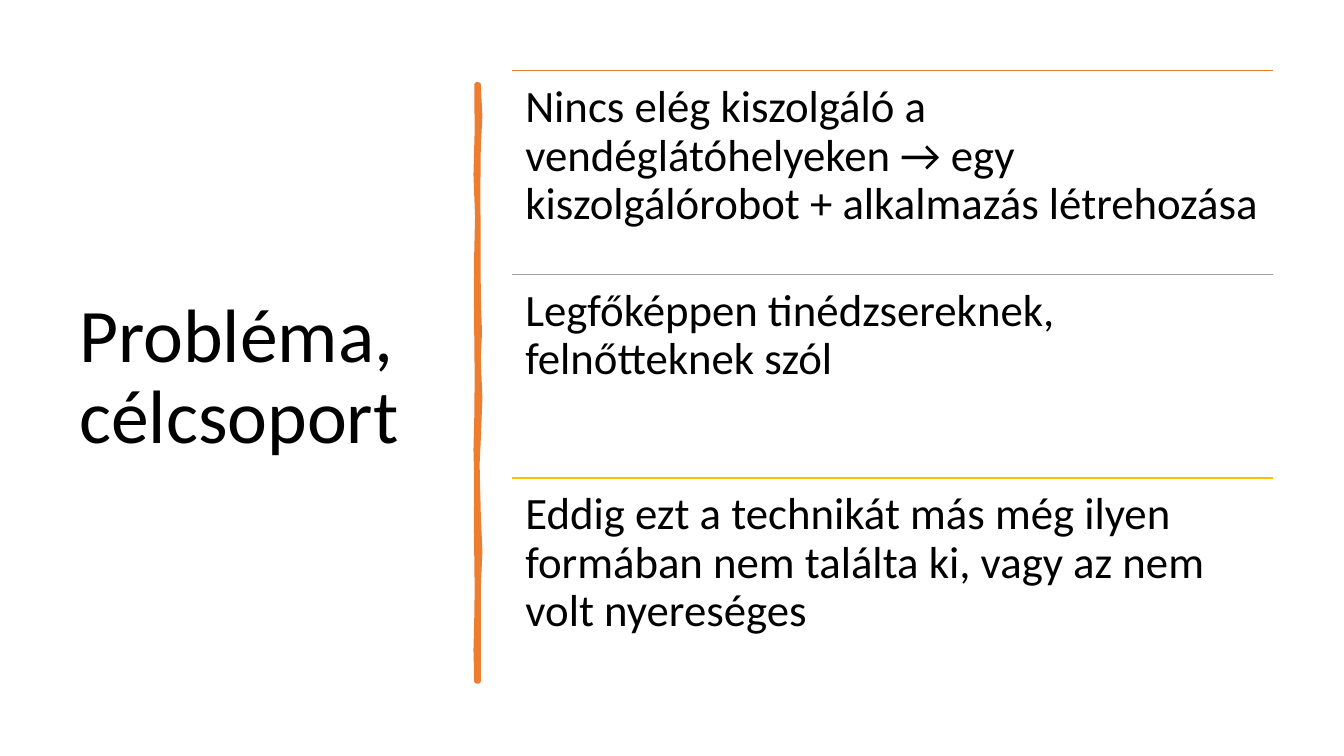
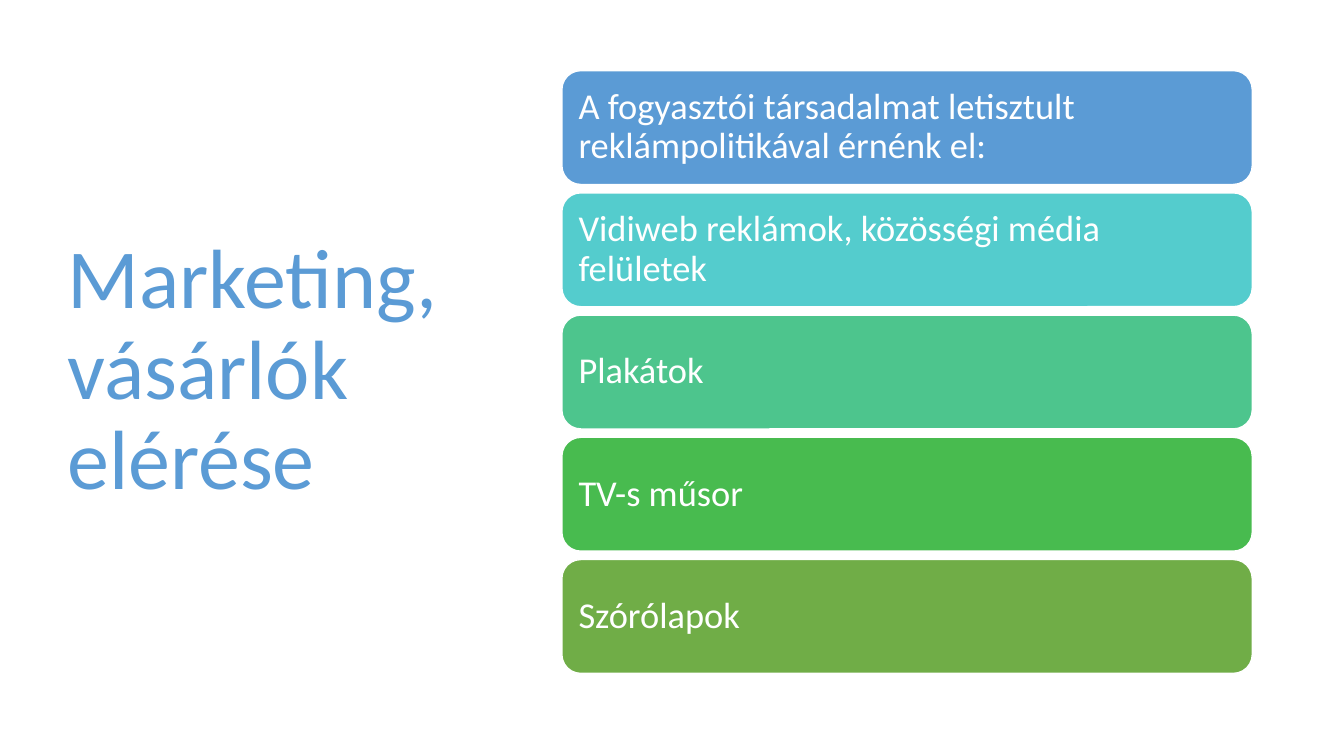
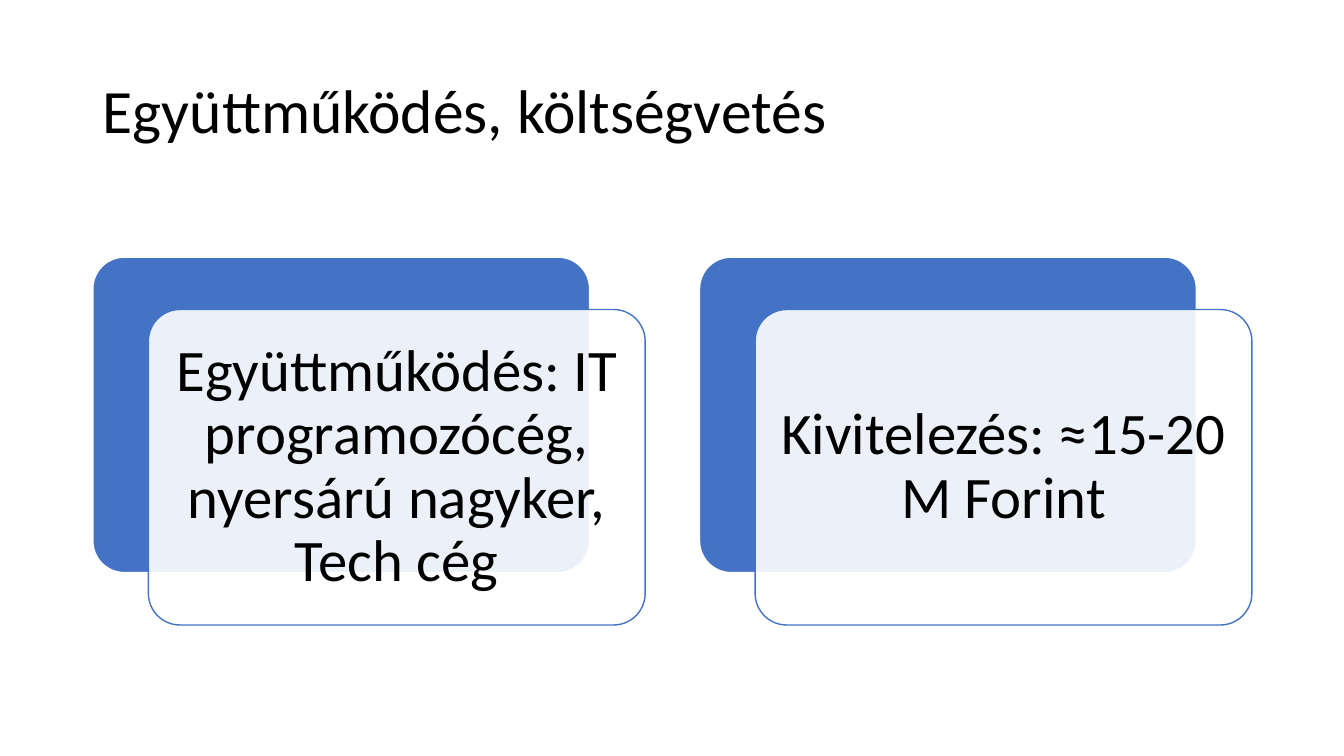
import pptx
import pptx.dml.color
import pptx.enum.shapes
import pptx.enum.text
import pptx.oxml.ns
import pptx.util
from lxml import etree

Cm = pptx.util.Cm
Pt = pptx.util.Pt
qn = pptx.oxml.ns.qn
Anchor = pptx.enum.text.MSO_ANCHOR
Align = pptx.enum.text.PP_ALIGN
ORANGE, BLUE, NAVY = "ED7D31", "5B9BD5", "4472C4"
WHITE, BLACK = "FFFFFF", "000000"


def color(code):
    return pptx.dml.color.RGBColor.from_string(code)


def apply(item, values):
    for name, value in values.items():
        setattr(item, name, value)


class Deck:
    font = "Calibri"
    spacing = 0.9

    def __init__(self):
        self.file = pptx.Presentation()
        apply(self.file, {"slide_width": Cm(33.87), "slide_height": Cm(19.05)})

    def start(self, title, box, size, ink=BLACK):
        self.slide = self.file.slides.add_slide(self.file.slide_layouts[5])
        self.shapes = self.slide.shapes
        names = ("left", "top", "width", "height")
        apply(self.shapes.title, dict(zip(names, map(Cm, box))))
        self.letter(self.shapes.title, title, size, ink)

    def letter(self, shape, text, size, ink, inset=0.25,
               anchor=Anchor.MIDDLE, align=Align.LEFT):
        frame = shape.text_frame
        frame.text = text
        apply(frame, {"word_wrap": True, "vertical_anchor": anchor,
                      "auto_size": pptx.enum.text.MSO_AUTO_SIZE.NONE})
        sides = ("left", "top", "right", "bottom")
        apply(frame, {f"margin_{side}": Cm(inset) for side in sides})
        part = frame.paragraphs[0]
        apply(part, {"alignment": align, "line_spacing": self.spacing})
        run = part.runs[0].font
        apply(run, {"name": self.font, "size": Pt(size)})
        run.color.rgb = color(ink)

    def paint(self, shape, fill, line, width=1):
        shape.shadow.inherit = False
        shape.fill.solid()
        shape.fill.fore_color.rgb = color(fill)
        shape.line.color.rgb = color(line)
        shape.line.width = Pt(width)

    def card(self, box, fill, line=WHITE, curve=0.1667, alpha=100):
        kind = pptx.enum.shapes.MSO_SHAPE.ROUNDED_RECTANGLE
        shape = self.shapes.add_shape(kind, *map(Cm, box))
        shape.adjustments[0] = curve
        self.paint(shape, fill, line)
        if alpha < 100:
            tint = shape.element.spPr.find(qn("a:solidFill"))[0]
            etree.SubElement(tint, qn("a:alpha"), val=str(alpha * 1000))
        return shape

    def label(self, box, text, size):
        shape = self.shapes.add_textbox(*map(Cm, box))
        self.letter(shape, text, size, BLACK, 0.34, Anchor.TOP)

    def rule(self, left, top, width, ink):
        kind = pptx.enum.shapes.MSO_CONNECTOR.STRAIGHT
        line = self.shapes.add_connector(
            kind, Cm(left), Cm(top), Cm(left + width), Cm(top))
        line.line.color.rgb = color(ink)
        line.line.width = Pt(1)
        etree.SubElement(line.element.spPr, qn("a:effectLst"))

    def brush(self, points, ink, width):
        spots = [(Cm(x), Cm(y)) for x, y in points]
        outline = self.shapes.build_freeform(*spots[0])
        outline.add_line_segments(spots[1:])
        self.paint(outline.convert_to_shape(), ink, ink, width)


deck = Deck()

deck.start("Probléma, célcsoport", (1.75, 1.78, 9.5, 15.52), 54)
right = [(12.06, 2.13), (12.1, 2.92), (12.06, 3.71), (12.05, 4.72),
         (12.06, 7.47), (12.09, 8.38), (12.06, 9.04), (12.1, 10.03),
         (12.06, 11.07), (12.03, 11.7), (12.06, 12.95), (12.1, 13.9),
         (12.06, 14.83), (12.06, 17.17)]
left = [(12.01, 17.17), (11.99, 16.38), (12.01, 15.57), (12.02, 14.86),
        (12.0, 13.13), (12.01, 12.12), (11.99, 11.33), (12.01, 10.54),
        (12.02, 9.53), (12.0, 7.37), (12.01, 6.35), (12.03, 5.46),
        (11.99, 4.4), (12.02, 3.3), (12.01, 2.13)]
deck.brush(right + left, ORANGE, 3.25)
facts = [
    (ORANGE, "Nincs elég kiszolgáló a vendéglátóhelyeken → egy "
             "kiszolgálórobot + alkalmazás létrehozása"),
    ("A5A5A5", "Legfőképpen tinédzsereknek, felnőtteknek szól"),
    ("FFC000", "Eddig ezt a technikát más még ilyen formában nem találta ki, "
               "vagy az nem volt nyereséges"),
]
for row, (ink, text) in enumerate(facts):
    top = 1.78 + row * 5.13
    deck.rule(12.9, top, 19.18, ink)
    deck.label((12.9, top, 19.18, 5.13), text, 32)

deck.start("Marketing, vásárlók elérése", (1.45, 1.73, 10.57, 15.29), 60, BLUE)
media = [
    (BLUE, "A fogyasztói társadalmat letisztult reklámpolitikával érnénk el:"),
    ("54CCCD", "Vidiweb reklámok, közösségi média felületek"),
    ("4DC58D", "Plakátok"),
    ("48BB4F", "TV-s műsor"),
    ("70AD47", "Szórólapok"),
]
for row, (fill, text) in enumerate(media):
    card = deck.card((14.16, 1.78 + row * 3.08, 17.4, 2.87), fill)
    deck.letter(card, text, 26, WHITE, 0.28)

deck.start("Együttműködés, költségvetés", (2.34, 1.02, 29.21, 3.68), 44)
plans = ["Együttműködés: IT programozócég, nyersárú nagyker, Tech cég",
         "Kivitelezés: ≈15-20 M Forint"]
for col, text in enumerate(plans):
    x = 2.34 + col * 15.29
    deck.card((x, 6.48, 12.52, 7.95), NAVY, curve=0.1)
    card = deck.card((x + 1.4, 7.8, 12.52, 7.95), WHITE, NAVY, 0.1, 90)
    deck.letter(card, text, 42, BLACK, 0.43, align=Align.CENTER)

deck.file.save("out.pptx")
